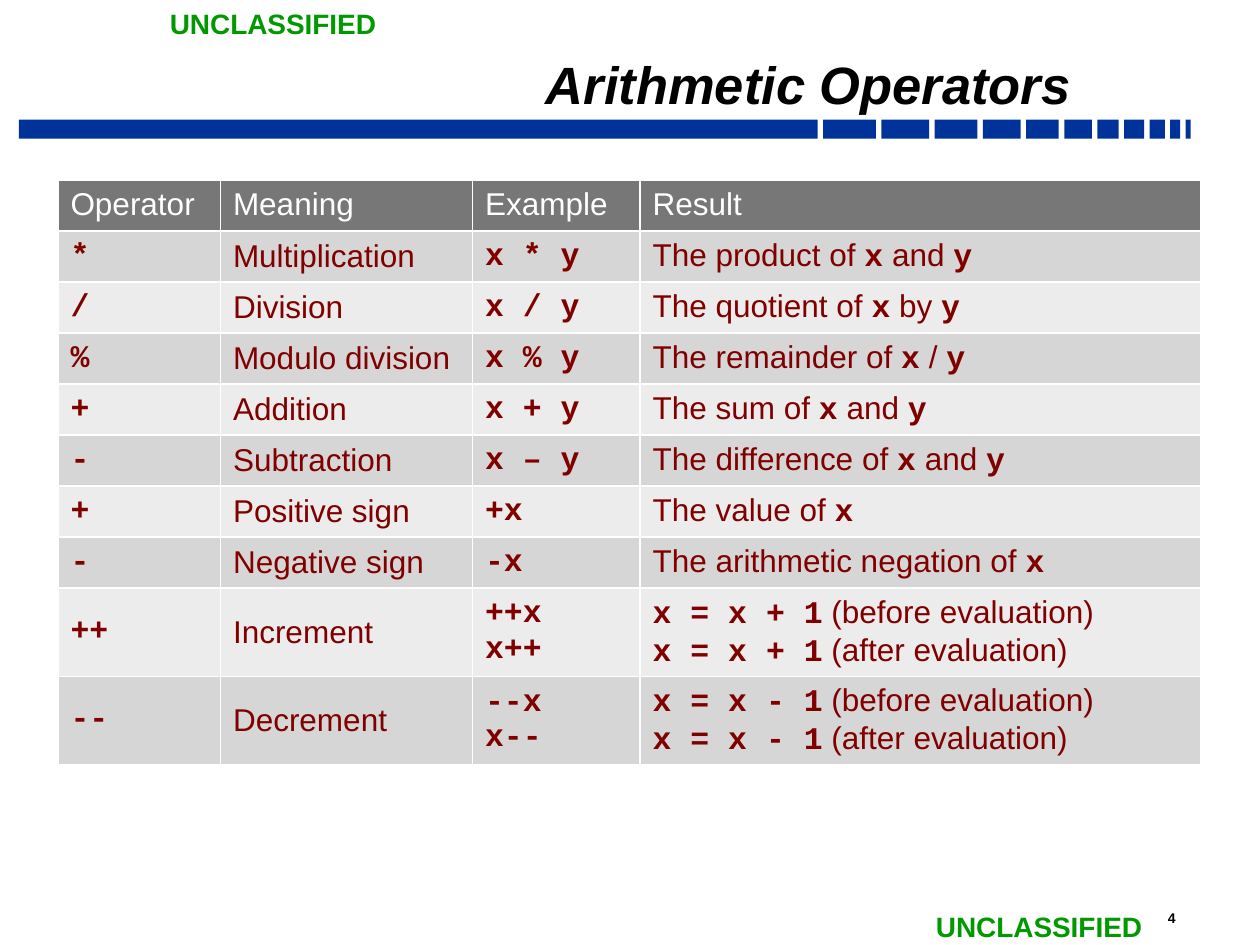
from pptx import Presentation
from pptx import util as u
from pptx.dml import color
from pptx.enum import shapes, text

COLS, ROWS = 100, 75
CELL = u.Inches(0.1)
COLORS = {"bar": "003399", "mark": "009900", "title": "000000", "head": "777777",
          "head_text": "FFFFFF", "body_text": "800000", "odd": "D6D6D6", "even": "ECECEC"}
PLAIN = {"name": "Arial", "size": u.Pt(18), "bold": False}
CODE = {"name": "Courier New", "size": u.Pt(18), "bold": True}
MARK = {"name": "Arial", "size": u.Pt(16), "bold": True}
NUMBER = {"name": "Arial", "size": u.Pt(8), "bold": True}
TITLE = {"name": "Arial", "size": u.Pt(30), "bold": True, "italic": True}

BAR_WIDTHS = [63.4, 4.2, 3.8, 3.4, 3, 2.6, 2.2, 1.7, 1.6, 1.2, 0.8, 0.4]
COLUMN_WIDTHS = [12.9, 20, 13.3, 44.5]
TALL_ROW = 7
HEADER = ["Operator", "Meaning", "Example", "Result"]
OPERATORS = [
    ["`*`", "Multiplication", "`x * y`", "The product of `x` and `y`"],
    ["`/`", "Division", "`x / y`", "The quotient of `x` by `y`"],
    ["`%`", "Modulo division", "`x % y`", "The remainder of `x` / `y`"],
    ["`+`", "Addition", "`x + y`", "The sum of `x` and `y`"],
    ["`-`", "Subtraction", "`x – y`", "The difference of `x` and `y`"],
    ["`+`", "Positive sign", "`+x`", "The value of `x`"],
    ["`-`", "Negative sign", "`-x`", "The arithmetic negation of `x`"],
    ["`++`", "Increment", "`++x`\n`x++`",
     "`x = x + 1` (before evaluation)\n`x = x + 1` (after evaluation)"],
    ["`--`", "Decrement", "`--x`\n`x--`",
     "`x = x - 1` (before evaluation)\n`x = x - 1` (after evaluation)"],
]


def grid(*cells):
    return [int(c * CELL) for c in cells]


def rgb(name):
    return color.RGBColor.from_string(COLORS[name])


def set_attrs(obj, values):
    for key, value in values.items():
        setattr(obj, key, value)


def add_run(p, words, fmt, tint):
    r = p.add_run()
    r.text = words
    set_attrs(r.font, fmt)
    r.font.color.rgb = rgb(tint)


def write_marked(tf, words, tint):
    for i, line in enumerate(words.split("\n")):
        p = tf.paragraphs[0] if i == 0 else tf.add_paragraph()
        for j, part in enumerate(line.split("`")):
            if part:
                add_run(p, part, CODE if j % 2 else PLAIN, tint)


def add_bar(s, left, top, width, height):
    gap = (width - sum(BAR_WIDTHS)) / (len(BAR_WIDTHS) - 1)
    for w in BAR_WIDTHS:
        sp = s.shapes.add_shape(shapes.MSO_SHAPE.RECTANGLE, *grid(left, top, w, height))
        sp.shadow.inherit = False
        sp.fill.solid()
        sp.fill.fore_color.rgb = rgb("bar")
        sp.line.fill.background()
        left += w + gap


def add_label(s, box, words, fmt, tint, wrap):
    tf = s.shapes.add_textbox(*grid(*box)).text_frame
    tf.word_wrap = wrap
    add_run(tf.paragraphs[0], words, fmt, tint)


def add_title(s, box, words):
    sp = s.shapes.title
    set_attrs(sp, dict(zip(("left", "top", "width", "height"), grid(*box))))
    tf = sp.text_frame
    side, edge = grid(0.9, 0.4)
    set_attrs(tf, {"word_wrap": True, "auto_size": text.MSO_AUTO_SIZE.NONE,
                   "vertical_anchor": text.MSO_ANCHOR.BOTTOM,
                   "margin_left": side, "margin_right": side,
                   "margin_top": edge, "margin_bottom": edge})
    p = tf.paragraphs[0]
    set_attrs(p, {"alignment": text.PP_ALIGN.RIGHT, "line_spacing": 0.7})
    add_run(p, words, TITLE, "title")


def add_operator_table(s, left, top, width, height):
    data = [HEADER] + OPERATORS
    tall = [any("\n" in words for words in row) for row in data]
    short_row = (height - TALL_ROW * sum(tall)) / tall.count(False)
    tbl = s.shapes.add_table(len(data), len(HEADER), *grid(left, top, width, height)).table
    for column, w in zip(tbl.columns, COLUMN_WIDTHS):
        column.width = grid(w)[0]
    for i, row in enumerate(data):
        tbl.rows[i].height = grid(TALL_ROW if tall[i] else short_row)[0]
        fill = "head" if i == 0 else "odd" if i % 2 else "even"
        for j, words in enumerate(row):
            cell = tbl.cell(i, j)
            cell.fill.solid()
            cell.fill.fore_color.rgb = rgb(fill)
            cell.vertical_anchor = text.MSO_ANCHOR.MIDDLE if i else text.MSO_ANCHOR.TOP
            write_marked(cell.text_frame, words, "body_text" if i else "head_text")


def main():
    prs = Presentation()
    prs.slide_width, prs.slide_height = grid(COLS, ROWS)
    s = prs.slides.add_slide(prs.slide_layouts[5])
    add_bar(s, 1.5, 9.5, 93, 1.5)
    add_label(s, (91.7, 71.7, 5.4, 2.3), "4", NUMBER, "title", True)
    for left, top in ((12.5, 0), (73.3, 71.7)):
        add_label(s, (left, top, 18.6, 3.7), "UNCLASSIFIED", MARK, "mark", False)
    add_title(s, (16.7, 3.5, 69.2, 5.9), "Arithmetic Operators")
    add_operator_table(s, 4.6, 14.3, 90.7, 46.4)
    prs.save("out.pptx")


if __name__ == "__main__":
    main()
